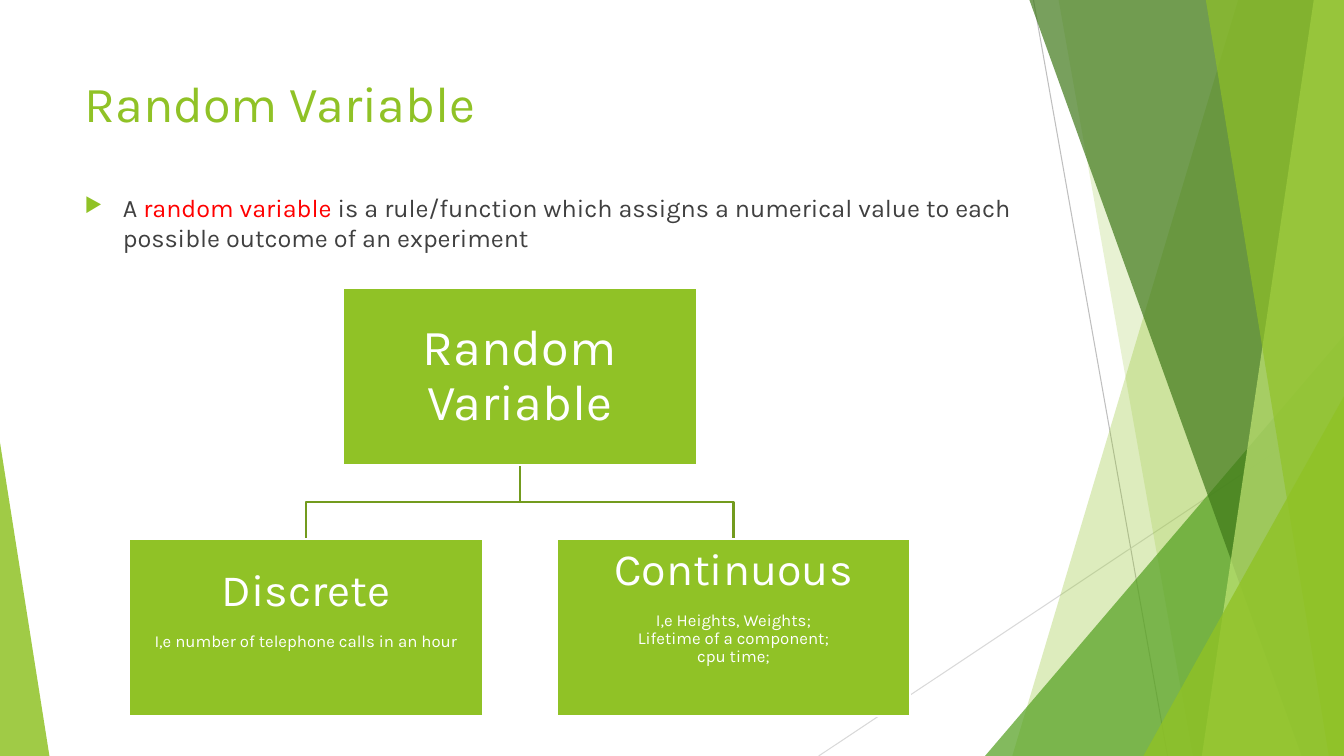
from lxml import etree
from pptx import Presentation
from pptx.dml.color import RGBColor
from pptx.enum.shapes import MSO_CONNECTOR, MSO_SHAPE
from pptx.enum.text import MSO_ANCHOR, PP_ALIGN
from pptx.oxml.ns import qn
from pptx.util import Inches, Pt

STRAIGHT = MSO_CONNECTOR.STRAIGHT
RECTANGLE, TRIANGLE = MSO_SHAPE.RECTANGLE, MSO_SHAPE.ISOSCELES_TRIANGLE
TOP, MIDDLE = MSO_ANCHOR.TOP, MSO_ANCHOR.MIDDLE
LEFT, CENTER = PP_ALIGN.LEFT, PP_ALIGN.CENTER

WIDTH, HEIGHT = 13.33, 7.5
FONT = "Karla"
COLORS = {
    "lime": "90C226", "green": "54A021", "forest": "3F7819", "pale": "C0E474",
    "branch": "739B1E", "body": "404040", "accent": "FF0000", "white": "FFFFFF",
    "rule": "BFBFBF", "light rule": "D9D9D9",
}

# Content
TITLE = "Random Variable"
DEFINITION = [
    ("A ", "body"),
    ("random variable ", "accent"),
    ("is a rule/function which assigns a numerical value to each "
     "possible outcome of an experiment", "body"),
]
ROOT = "Random Variable"
# heading, examples, space kept free under the text
CHILDREN = [
    ("Discrete", ["I,e number of telephone calls in an hour"], 0.36),
    ("Continuous", ["I,e Heights, Weights;", "Lifetime of a component;", "cpu time;"], 0.42),
]

# Decoration, back to front
RULES = [((10.25, 0), (11.58, HEIGHT), "rule"),
         ((WIDTH, 4.03), (8.12, HEIGHT), "light rule")]
# panel: left edge at the top and at the bottom; both kinds end in colour, opacity
# corner: left, width, height, apex position
DECORATION = [
    ("panel", (12.28, 10.04), "lime", 30),
    ("panel", (10.5, 11.83), "lime", 20),
    ("corner", (9.77, 3.56, 4.17, 1), "green", 72),
    ("panel", (10.21, 12.91), "forest", 70),
    ("panel", (13.03, 11.92), "pale", 70),
    ("panel", (11.96, 13.18), "lime", 65),
    ("corner", (11.34, 1.99, 3.57, 1), "lime", 80),
    ("corner", (0, 0.49, 3.11, 0), "lime", 85),
]

# Tree grid
BOX_WIDTH, BOX_HEIGHT = 3.51, 1.75
TREE_LEFT, ROOT_TOP, CHILD_TOP = 1.28, 2.86, 5.35
COLUMN_STEP = 4.24

presentation = Presentation()
presentation.slide_width, presentation.slide_height = Inches(WIDTH), Inches(HEIGHT)
slide = presentation.slides.add_slide(presentation.slide_layouts[6])
shapes = slide.shapes


def rgb(name):
    return RGBColor.from_string(COLORS[name])


def apply(target, formats):
    for name, value in formats.items():
        setattr(target, name, value)


def paint(shape, fill=None, opacity=100, line=None):
    shape.shadow.inherit = False
    if fill:
        shape.fill.solid()
        shape.fill.fore_color.rgb = rgb(fill)
        if opacity < 100:
            color = shape.fill._xPr.find(qn("a:solidFill"))[0]
            etree.SubElement(color, qn("a:alpha"), val=str(opacity * 1000))
    else:
        shape.fill.background()
    if line:
        shape.line.color.rgb = rgb(line)
        shape.line.width = Pt(1.5)
    else:
        shape.line.fill.background()


def add_path(points, close):
    start, *rest = [(Inches(x), Inches(y)) for x, y in points]
    builder = shapes.build_freeform(*start)
    builder.add_line_segments(rest, close=close)
    return builder.convert_to_shape()


def add_run(paragraph, text, size, color):
    for number, line in enumerate(text.split("\n")):
        if number:
            paragraph.add_line_break()
        run = paragraph.add_run()
        run.text = line
        apply(run.font, {"name": FONT, "size": Pt(size)})
        run.font.color.rgb = rgb(color)


def add_text_box(left, top, width, height):
    frame = shapes.add_textbox(*map(Inches, (left, top, width, height))).text_frame
    apply(frame, {"word_wrap": True, "vertical_anchor": TOP})
    frame.paragraphs[0].alignment = LEFT
    return frame.paragraphs[0]


def add_box(left, top, parts, free_below=0):
    box = shapes.add_shape(RECTANGLE, *map(Inches, (left, top, BOX_WIDTH, BOX_HEIGHT)))
    paint(box, "lime", line="white")
    frame = box.text_frame
    apply(frame, {"word_wrap": True, "vertical_anchor": MIDDLE,
                  "margin_left": Inches(0.02), "margin_right": Inches(0.02),
                  "margin_top": Inches(0.02), "margin_bottom": Inches(0.02 + free_below)})
    for number, (text, size) in enumerate(parts):
        paragraph = frame.add_paragraph() if number else frame.paragraphs[0]
        apply(paragraph, {"alignment": CENTER, "line_spacing": 0.9,
                          "space_before": Pt(12 if number else 0)})
        add_run(paragraph, text, size, "white")


# Background rules and panels
for (x1, y1), (x2, y2), color in RULES:
    rule = shapes.add_connector(STRAIGHT, *map(Inches, (x1, y1, x2, y2)))
    rule.line.color.rgb = rgb(color)
    rule.line.width = Pt(0.75)
    etree.SubElement(rule._element.spPr, qn("a:effectLst"))

for kind, place, color, opacity in DECORATION:
    if kind == "panel":
        upper, lower = place
        part = add_path([(upper, 0), (WIDTH, 0), (WIDTH, HEIGHT), (lower, HEIGHT)], True)
    else:
        left, width, height, apex = place
        part = shapes.add_shape(TRIANGLE, *map(Inches, (left, HEIGHT - height, width, height)))
        part.adjustments[0] = apex
    paint(part, color, opacity)

# Title and definition
add_run(add_text_box(0.74, 0.67, 9.4, 1), TITLE, 36, "lime")

definition = add_text_box(0.74, 1.86, 9.4, 0.8)
for text, color in DEFINITION:
    add_run(definition, text, 18, color)
properties = definition._p.get_or_add_pPr()
properties.set("marL", str(Inches(0.38)))
properties.set("indent", str(-Inches(0.38)))
bullet_color = etree.SubElement(properties, qn("a:buClr"))
etree.SubElement(bullet_color, qn("a:srgbClr"), val=COLORS["lime"])
etree.SubElement(properties, qn("a:buSzPct"), val="80000")
etree.SubElement(properties, qn("a:buChar"), char="▶")

# Tree: branches first, boxes over them
root_left = TREE_LEFT + COLUMN_STEP / 2
root_middle = root_left + BOX_WIDTH / 2
root_bottom = ROOT_TOP + BOX_HEIGHT
fork = (root_bottom + CHILD_TOP) / 2
child_lefts = [TREE_LEFT + column * COLUMN_STEP for column in range(len(CHILDREN))]

for left in child_lefts:
    middle = left + BOX_WIDTH / 2
    branch = add_path([(root_middle, root_bottom), (root_middle, fork),
                       (middle, fork), (middle, CHILD_TOP)], False)
    paint(branch, line="branch")

add_box(root_left, ROOT_TOP, [(ROOT, 36)])
for left, (heading, examples, free_below) in zip(child_lefts, CHILDREN):
    add_box(left, CHILD_TOP, [(heading, 32), ("\n".join(examples), 12)], free_below)

presentation.save("out.pptx")
